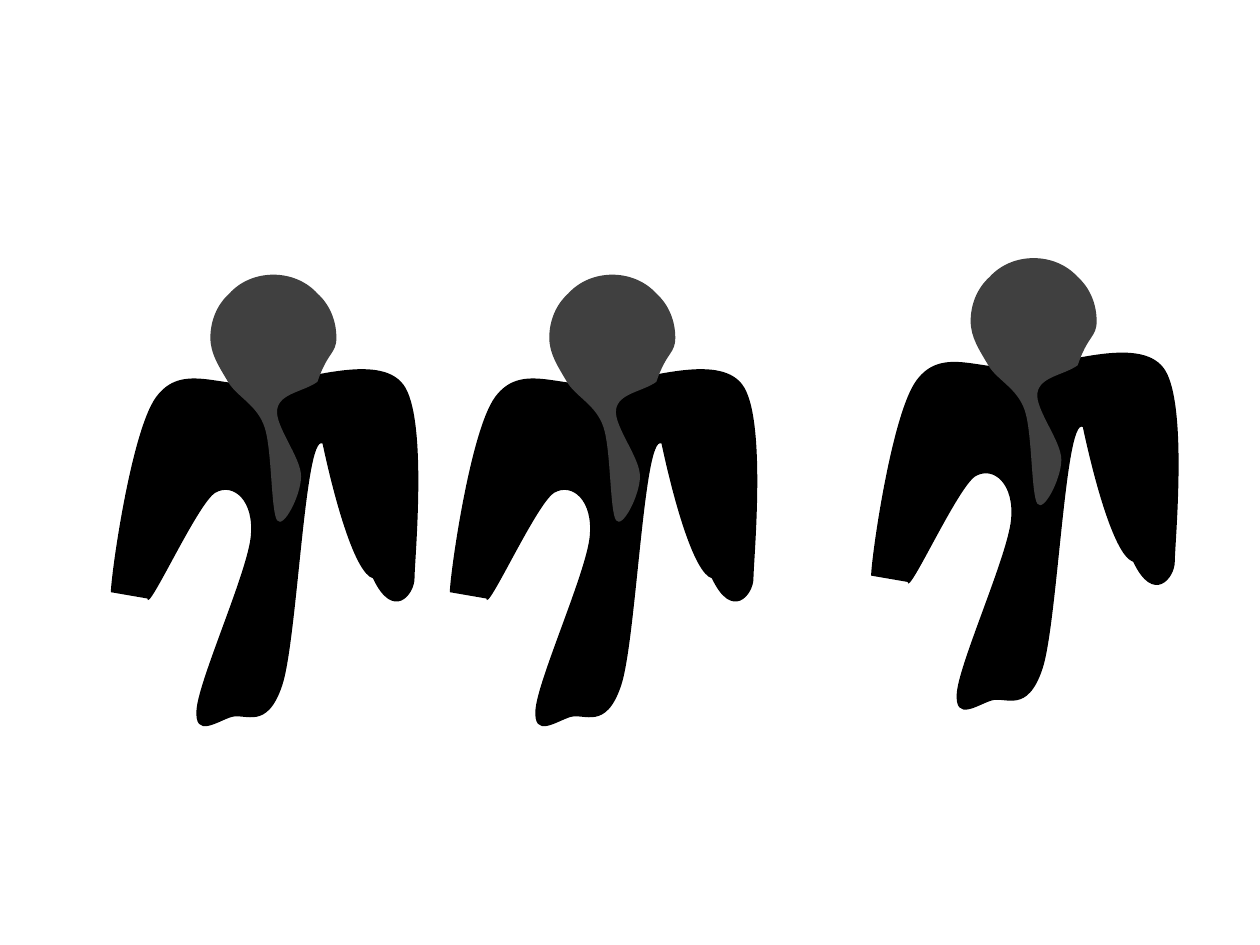
import dataclasses
import math

import lxml.etree
import pptx
import pptx.dml.color
import pptx.oxml.ns
import pptx.util

Pt = pptx.util.Pt
qn = pptx.oxml.ns.qn

GRID = Pt(0.72)
FIGURE_CORNERS = [(63.36, 156.96), (257.04, 156.96), (497.8, 147.5)]
BODY_FILL = "000000"
HEAD_FILL = "404040"
HEAD_CENTRE = (129, 50)
HEAD_RADIUS = 50
HEAD_STEP = 45


@dataclasses.dataclass
class Anchor:
    """A point on an outline, with handle offsets where it is not smooth."""

    x: float
    y: float
    before: tuple = None
    after: tuple = None


def color(hex_value):
    """Return the colour for a hex string."""
    return pptx.dml.color.RGBColor.from_string(hex_value)


def apply_formats(target, formats):
    """Set each named format value on the target."""
    for name, value in formats.items():
        setattr(target, name, value)


def arc(centre, radius, start, stop, step):
    """Return anchors along a circular arc, with handles on its tangents."""
    reach = radius * 4 / 3 * math.tan(math.radians(step) / 4)
    anchors = []
    for degrees in range(start, stop + 1, step):
        cosine = math.cos(math.radians(degrees))
        sine = math.sin(math.radians(degrees))
        anchors.append(Anchor(
            centre[0] + radius * cosine,
            centre[1] + radius * sine,
            before=(reach * sine, -reach * cosine),
            after=(-reach * sine, reach * cosine),
        ))
    return anchors


def body_anchors():
    """Return the body clockwise from the left cuff."""
    left_sleeve = [Anchor(0, 252, before=(0, 0), after=(0, -13))]
    shoulders = [Anchor(36, 97), Anchor(118, 87), Anchor(232, 87)]
    right_cuff = [
        Anchor(241, 241, before=(0, -14), after=(0, 13)),
        Anchor(208, 241, before=(16, 34), after=(-14, -4)),
    ]
    right_armpit = [Anchor(168, 134, before=(10, 47), after=(-14, -8))]
    hem = [Anchor(136, 326), Anchor(96, 351), Anchor(68, 345)]
    left_armpit = [Anchor(111, 208), Anchor(83, 173)]
    left_cuff = [Anchor(29, 257, before=(0, 13), after=(0, 0))]
    return (left_sleeve + shoulders + right_cuff + right_armpit
            + hem + left_armpit + left_cuff)


def head_anchors():
    """Return the head clockwise from its left side, down around the tie."""
    crown = arc(HEAD_CENTRE, HEAD_RADIUS, 180, 360, HEAD_STEP)
    collar = [Anchor(164, 85, before=(8, -24), after=(-11, 8))]
    tie = [Anchor(132, 107), Anchor(151, 160), Anchor(132, 195), Anchor(122, 121)]
    chin = [Anchor(93, 85)]
    return crown + collar + tie + chin


def smooth(anchors):
    """Fill missing handles with a sixth of the way between the neighbours."""
    smoothed = []
    for index, anchor in enumerate(anchors):
        previous = anchors[index - 1]
        following = anchors[(index + 1) % len(anchors)]
        dx = (following.x - previous.x) / 6
        dy = (following.y - previous.y) / 6
        smoothed.append(Anchor(
            anchor.x, anchor.y, anchor.before or (-dx, -dy), anchor.after or (dx, dy)
        ))
    return smoothed


def curve_points(anchors):
    """Return two control points and an end point for each curve."""
    points = []
    for start, end in zip(anchors, anchors[1:] + anchors[:1]):
        points += [
            (start.x + start.after[0], start.y + start.after[1]),
            (end.x + end.before[0], end.y + end.before[1]),
            (end.x, end.y),
        ]
    return points


def bend(outline):
    """Turn each three line segments of a freeform into one cubic curve."""
    segments = list(outline.element.iter(qn("a:lnTo")))
    for first in range(0, len(segments), 3):
        curve = lxml.etree.Element(qn("a:cubicBezTo"))
        segments[first].addprevious(curve)
        for segment in segments[first:first + 3]:
            curve.append(segment[0])
            segment.getparent().remove(segment)


def add_outline(slide, left, top, anchors, fill):
    """Draw a closed curved outline relative to a figure's corner."""
    builder = slide.shapes.build_freeform(anchors[0].x, anchors[0].y, scale=GRID)
    builder.add_line_segments(curve_points(smooth(anchors)), close=True)
    outline = builder.convert_to_shape(Pt(left), Pt(top))
    bend(outline)
    outline.fill.solid()
    outline.line.fill.background()
    apply_formats(outline.fill.fore_color, {"rgb": color(fill)})
    apply_formats(outline.shadow, {"inherit": False})


def add_figure(slide, left, top):
    """Draw a body, then its head and tie, from the given corner."""
    add_outline(slide, left, top, body_anchors(), BODY_FILL)
    add_outline(slide, left, top, head_anchors(), HEAD_FILL)


def main():
    """Build the slide with its row of figures."""
    deck = pptx.Presentation()
    apply_formats(deck, {"slide_width": Pt(720), "slide_height": Pt(540)})
    slide = deck.slides.add_slide(deck.slide_layouts[6])
    for left, top in FIGURE_CORNERS:
        add_figure(slide, left, top)
    deck.save("out.pptx")


main()
